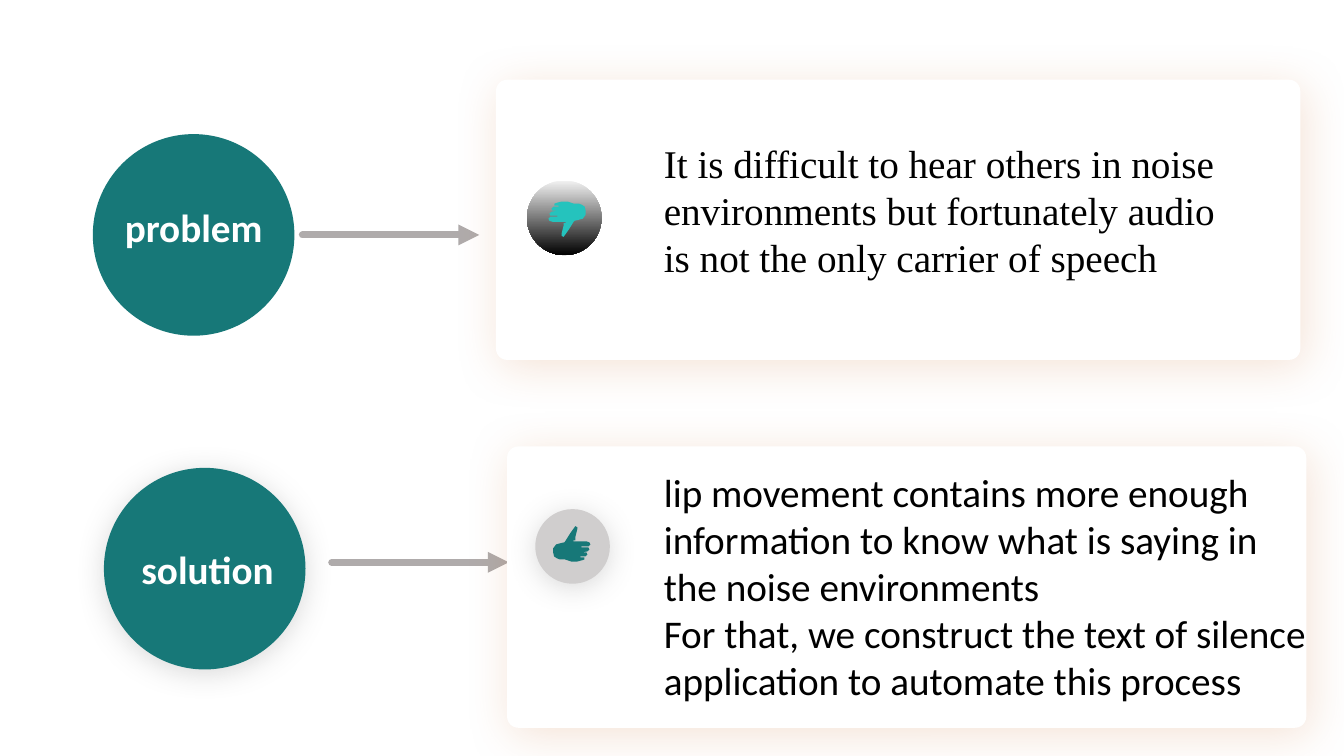
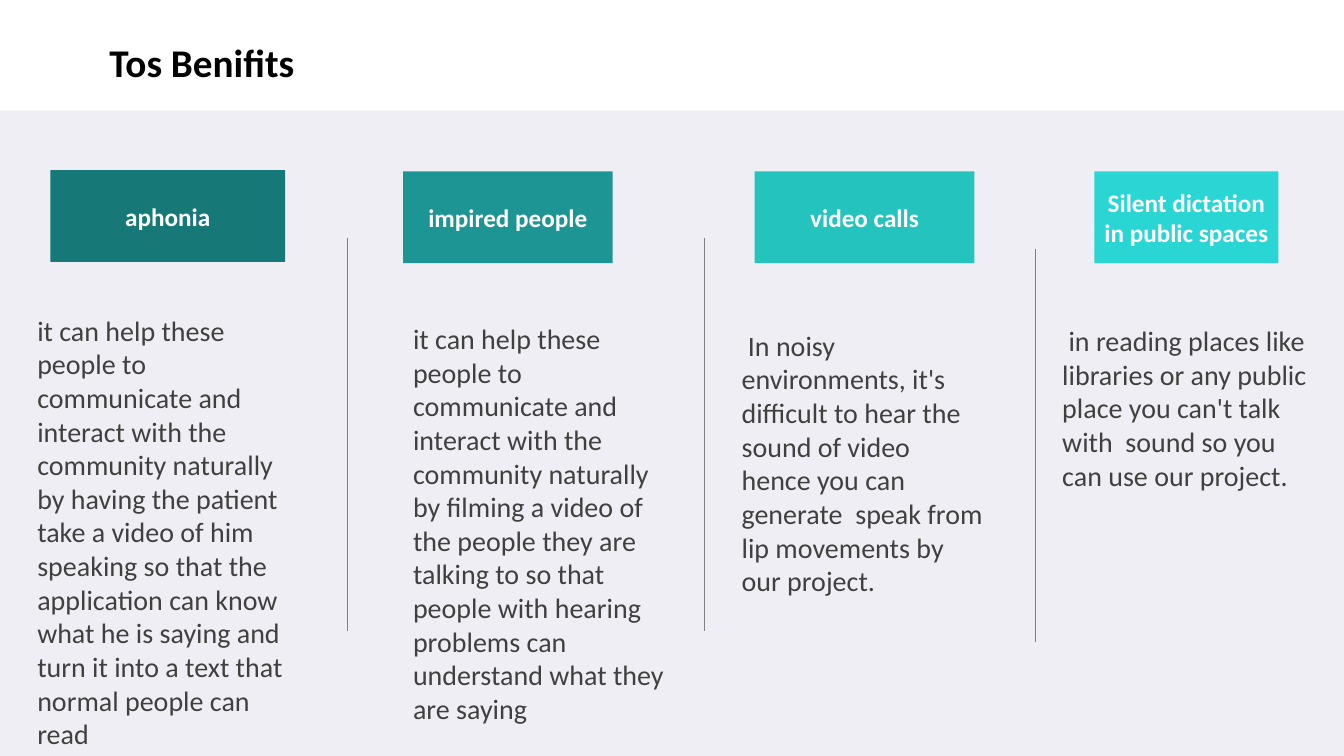
from dataclasses import dataclass

from lxml import etree
from pptx import Presentation
from pptx.dml.color import RGBColor
from pptx.enum import shapes, text
from pptx.oxml import ns
from pptx.util import Cm, Pt


@dataclass(frozen=True)
class Theme:
    sans: str = "Calibri"
    serif: str = "Times New Roman"
    teal: str = "177878"
    teal_mid: str = "1D9594"
    teal_light: str = "25C3BD"
    teal_bright: str = "2AD6D4"
    white: str = "FFFFFF"
    black: str = "000000"
    body: str = "404040"
    panel: str = "EFEEF4"
    arrow: str = "AFABAB"
    divider: str = "808080"
    badge: str = "D0CECE"
    badge_fade: tuple = ("F2F2F2", "000000")
    large: int = 28
    medium: int = 20
    small: int = 18
    # colour, opacity %, blur pt, distance pt, angle
    soft_shadow: tuple = ("7C7C7C", 28, 20, 3, 90)
    warm_shadow: tuple = ("C55A11", 16, 34, 6, 59)


T = Theme()
KIND = shapes.MSO_SHAPE

# Positions and sizes are in centimetres.
CIRCLE, BADGE, ARROW = 5.08, 1.88, 4.46
STATEMENTS = [
    dict(label="solution", label_at=(3.12, 13.51), circle=(2.62, 11.79),
         circle_shadow=T.soft_shadow, arrow=(8.36, 14.17),
         card=(12.78, 11.25, 20.14, 7.09), badge=(13.49, 12.83),
         badge_fill=T.badge, badge_shadow=T.soft_shadow,
         hand=(13.94, 13.26), hand_fill=T.teal, turn=0,
         text=(16.48, 11.68, 16.87, 6.25), font=T.sans,
         lines=["lip movement contains more enough information to know "
                "what is saying in the noise environments",
                "For that, we construct the text of silence application "
                "to automate this process"]),
    dict(label="problem", label_at=(2.77, 4.88), circle=(2.34, 3.38),
         circle_shadow=None, arrow=(7.62, 5.92),
         card=(12.5, 2.01, 20.27, 7.06), badge=(13.28, 4.55),
         badge_fill=T.badge_fade, badge_shadow=None,
         hand=(13.82, 5.08), hand_fill=T.teal_light, turn=180,
         text=(16.48, 3.38, 14.63, 3.84), font=T.serif,
         lines=["It is difficult to hear others in noise environments but "
                "fortunately audio is not the only carrier of speech"]),
]

# Thumbs-up outline, in hundredths of an inch.
HAND = [(28, 26), (34, 25), (36, 23), (35, 21), (28, 21), (28, 20), (35, 20),
        (37, 18), (36, 16), (33, 15.3), (26, 15), (20, 15), (20, 14),
        (22, 14), (21.5, 11), (23, 7), (24, 3), (23.5, 1), (22, 0), (17, 7),
        (12, 15), (11, 16.5), (7, 17), (3, 18), (0.5, 22), (0, 26), (1, 30),
        (4, 32.5), (7, 33), (9, 32.6), (12, 33), (18, 35), (24, 35), (28, 34),
        (31, 33), (31, 31), (27, 31), (27, 30), (32, 30), (33.5, 28), (33, 26)]

TITLE = "Tos Benifits"
HEADER_HEIGHT = 2.31
# heading, fill, heading box (left, top, width), text box, text lines
BENEFITS = [
    ("aphonia", T.teal, (1.27, 4.29, 5.92), (0.69, 7.77, 6.8, 11.38),
     ["it can help these people to communicate and interact with the "
      "community naturally by having the patient take a video of him speaking "
      "so that the application can know what he is saying and turn it into a "
      "text that normal people can read"]),
    ("impired people", T.teal_mid, (10.16, 4.32, 5.28),
     (10.16, 7.98, 6.88, 10.52),
     ["it can help these people to communicate and interact with the "
      "community naturally by filming a video of the people they are talking "
      "to so that people with hearing problems can understand what they are "
      "saying"]),
    ("video calls", T.teal_light, (19.02, 4.32, 5.54),
     (18.44, 8.15, 6.65, 7.09),
     [" In noisy environments, it's difficult to hear the sound of video",
      "hence you can generate  speak from lip movements by",
      "our project."]),
    ("Silent dictation in public spaces", T.teal_bright, (27.58, 4.32, 4.64),
     (26.52, 8.03, 6.78, 4.52),
     [" in reading places like libraries or any public place you can't talk "
      "with  sound so you can use our project."]),
]
DIVIDERS = [(8.76, 5.99), (17.75, 5.99), (26.09, 6.27)]
DIVIDER_HEIGHT = 9.92


def rgb(value):
    return RGBColor.from_string(value)


def add_xml(parent, tag, **attributes):
    return etree.SubElement(parent, ns.qn(tag),
                            {key: str(value) for key, value in attributes.items()})


def paint(shape, fill, shadow=None):
    """Apply a plain fill or a top-to-bottom fade, no line, optional shadow."""
    if isinstance(fill, tuple):
        shape.fill.gradient()
        shape.fill.gradient_angle = 270
        for stop, colour in zip(shape.fill.gradient_stops, fill):
            stop.color.rgb = rgb(colour)
    else:
        shape.fill.solid()
        shape.fill.fore_color.rgb = rgb(fill)
    shape.line.fill.background()
    shape.shadow.inherit = False
    if shadow:
        colour, opacity, blur, distance, angle = shadow
        effects = shape._element.spPr.find(ns.qn("a:effectLst"))
        outer = add_xml(effects, "a:outerShdw", blurRad=Pt(blur),
                        dist=Pt(distance), dir=angle * 60000, rotWithShape=0)
        tint = add_xml(outer, "a:srgbClr", val=colour)
        add_xml(tint, "a:alpha", val=opacity * 1000)
    return shape


def add_block(page, kind, at, fill, shadow=None):
    return paint(page.shapes.add_shape(kind, *map(Cm, at)), fill, shadow)


def add_span(para, words, size, colour, bold=False, font=T.sans):
    span = para.add_run()
    span.text = words
    span.font.name, span.font.size, span.font.bold = font, Pt(size), bold
    span.font.color.rgb = rgb(colour)


def add_text(page, at, wrap=True):
    frame = page.shapes.add_textbox(*map(Cm, at)).text_frame
    frame.word_wrap = wrap
    return frame


def add_line(page, start, end, colour, width, arrow=False):
    line = page.shapes.add_connector(shapes.MSO_CONNECTOR.STRAIGHT,
                                     *map(Cm, start + end))
    line.line.color.rgb = rgb(colour)
    line.line.width = Pt(width)
    if arrow:
        stroke = line.line._get_or_add_ln()
        stroke.set("cap", "rnd")
        add_xml(stroke, "a:tailEnd", type="triangle")
    add_xml(line._element.spPr, "a:effectLst")


def add_hand(page, at, fill, turn):
    unit = Cm(0.0254)
    builder = page.shapes.build_freeform(*HAND[0], scale=unit)
    builder.add_line_segments(HAND[1:], close=True)
    hand = paint(builder.convert_to_shape(), fill)
    hand.left, hand.top = map(Cm, at)
    hand.rotation = turn


def add_statement(page, item):
    x, y = item["arrow"]
    add_line(page, (x, y), (x + ARROW, y), T.arrow, 5, arrow=True)

    add_block(page, KIND.OVAL, item["circle"] + (CIRCLE, CIRCLE), T.teal,
              item["circle_shadow"])
    para = add_text(page, item["label_at"] + (4.22, 1.57)).paragraphs[0]
    para.alignment = text.PP_ALIGN.CENTER
    para.line_spacing = 1.1
    add_span(para, item["label"], T.large, T.white, bold=True)

    card = add_block(page, KIND.ROUNDED_RECTANGLE, item["card"], T.white,
                     T.warm_shadow)
    card.adjustments[0] = 0.04
    add_block(page, KIND.OVAL, item["badge"] + (BADGE, BADGE),
              item["badge_fill"], item["badge_shadow"])
    add_hand(page, item["hand"], item["hand_fill"], item["turn"])

    frame = add_text(page, item["text"])
    for index, words in enumerate(item["lines"]):
        para = frame.add_paragraph() if index else frame.paragraphs[0]
        add_span(para, words, T.large, T.black, font=item["font"])


def add_benefit(page, heading, fill, header_at, body_at, lines):
    header = add_block(page, KIND.RECTANGLE, header_at + (HEADER_HEIGHT,), fill)
    header.text_frame.word_wrap = True
    header.text_frame.vertical_anchor = text.MSO_ANCHOR.MIDDLE
    para = header.text_frame.paragraphs[0]
    para.alignment = text.PP_ALIGN.CENTER
    add_span(para, heading, T.small, T.white, bold=True)

    para = add_text(page, body_at).paragraphs[0]
    for index, words in enumerate(lines):
        if index:
            para.add_line_break()
        add_span(para, words, T.medium, T.body)


def main():
    deck = Presentation()
    deck.slide_width, deck.slide_height = Cm(33.87), Cm(19.05)
    blank = deck.slide_layouts[6]

    page = deck.slides.add_slide(blank)
    for item in STATEMENTS:
        add_statement(page, item)

    page = deck.slides.add_slide(blank)
    add_block(page, KIND.RECTANGLE, (0, 2.79, 33.87, 16.26), T.panel)
    title = add_text(page, (2.51, 0.84, 5.18, 1.45), wrap=False)
    add_span(title.paragraphs[0], TITLE, T.large, T.black, bold=True)
    for x, y in DIVIDERS:
        add_line(page, (x, y), (x, y + DIVIDER_HEIGHT), T.divider, 0.25)
    for benefit in BENEFITS:
        add_benefit(page, *benefit)

    deck.save("out.pptx")


if __name__ == "__main__":
    main()
